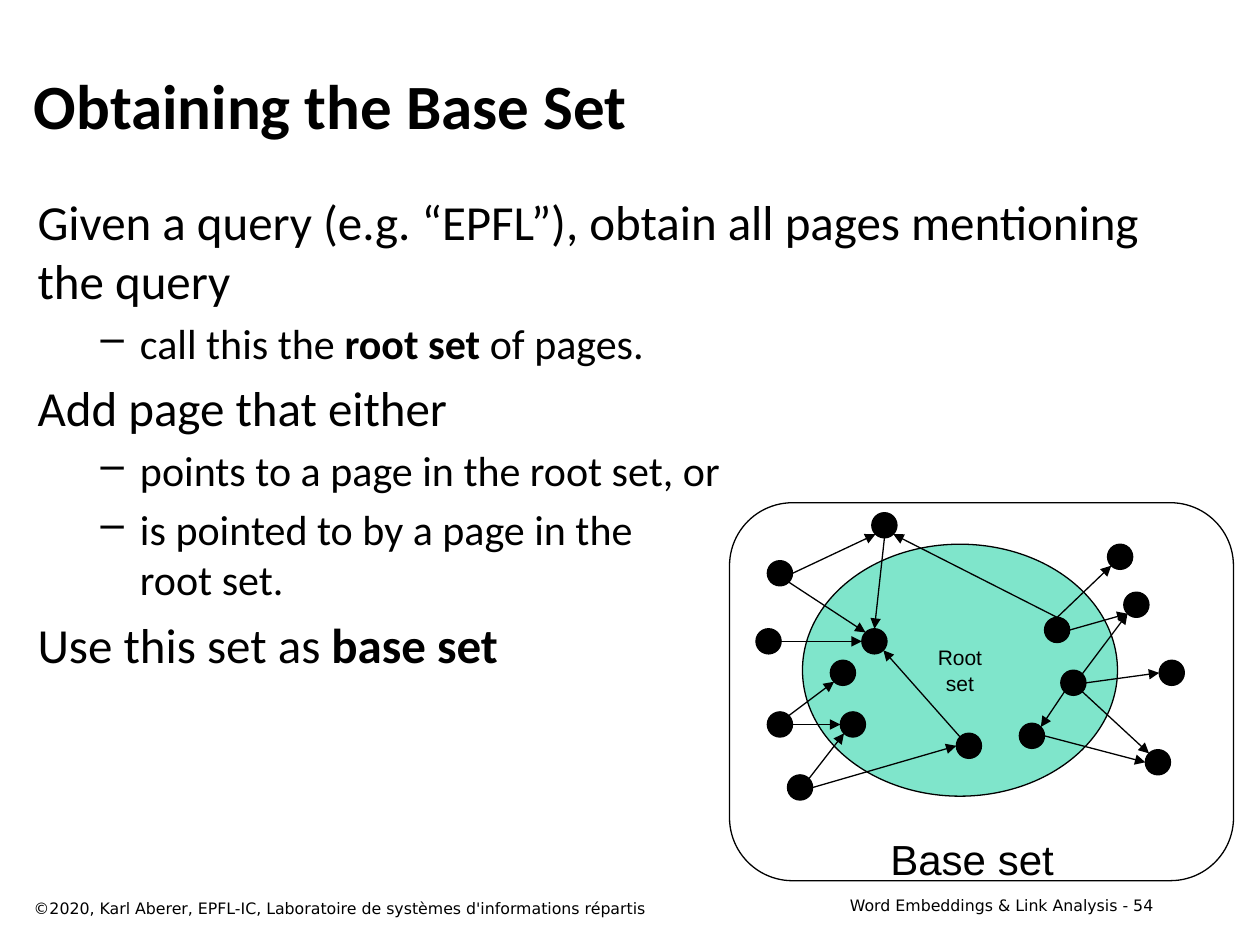
import math

from lxml import etree
from pptx import Presentation
from pptx.dml.color import RGBColor
from pptx.enum import shapes, text
from pptx.oxml.ns import qn
from pptx.util import Pt

COLORS = {"ink": "000000", "root": "00CC99"}
RADIUS = 7.2
COMPASS = ["E", "SE", "S", "SW", "W", "NW", "N", "NE"]

# Page centres; the "root" pages lie inside the ellipse
PAGES = {
    "top": (505.4, 300.2), "upper left": (445.7, 327.6),
    "left": (439.2, 366.5), "lower left": (445.7, 414),
    "bottom": (457.2, 450), "upper right": (640.1, 318.2),
    "mid right": (649.4, 345.6), "right": (669.6, 384.5),
    "lower right": (661.7, 435.6), "root hub": (499.7, 366.5),
    "root west": (481.7, 384.5), "root southwest": (487.4, 414),
    "root south": (553.7, 426.2), "root southeast": (589.7, 420.5),
    "root east": (613.4, 390.2), "root northeast": (604.1, 360),
}
# Source page, side it leaves from, target page, side it reaches
LINKS = [
    ("top", "S", "root hub", "N"),
    ("root northeast", "N", "top", "SE"),
    ("root northeast", "N", "upper right", "SW"),
    ("root northeast", "E", "mid right", "SW"),
    ("root east", "E", "right", "W"),
    ("root east", "SE", "lower right", "NW"),
    ("root east", "SW", "root southeast", "NE"),
    ("root southeast", "E", "lower right", "W"),
    ("root east", "NE", "mid right", "SW"),
    ("bottom", "E", "root south", "W"),
    ("bottom", "NE", "root southwest", "SW"),
    ("lower left", "E", "root southwest", "W"),
    ("lower left", "NE", "root west", "SW"),
    ("root south", "NW", "root hub", "SE"),
    ("left", "E", "root hub", "W"),
    ("upper left", "E", "top", "SW"),
    ("upper left", "SE", "root hub", "NW"),
]
# Level, then (text, bold) runs
BODY = [
    (0, [("Given a query (e.g. “EPFL”), obtain all pages mentioning the query", False)]),
    (1, [("call this the ", False), ("root set ", True), ("of pages.", False)]),
    (0, [("Add page that either", False)]),
    (1, [("points to a page in the root set, or", False)]),
    (1, [("is pointed to by a page in the\nroot set.", False)]),
    (0, [("Use this set as ", False), ("base set", True)]),
]


def rgb(name):
    return RGBColor.from_string(COLORS[name])


def pts(*values):
    return [Pt(v) for v in values]


def add_run(p, content, **fmt):
    """Add formatted text, with a line break at each newline."""
    for i, line in enumerate(content.split("\n")):
        if i:
            p.add_line_break()
        r = p.add_run()
        r.text = line
        for key, value in fmt.items():
            setattr(r.font, key, value)
        r.font.color.rgb = rgb("ink")


def add_text(s, box, content, align=text.PP_ALIGN.LEFT, wrap=True,
             anchor=text.MSO_ANCHOR.TOP, **fmt):
    tf = s.shapes.add_textbox(*pts(*box)).text_frame
    tf.word_wrap, tf.vertical_anchor = wrap, anchor
    p = tf.paragraphs[0]
    p.alignment = align
    add_run(p, content, **fmt)


def add_title(s, content):
    sp = s.shapes.title
    sp.left, sp.top, sp.width, sp.height = pts(12.2, 23.8, 653.8, 72)
    sp.text_frame.vertical_anchor = text.MSO_ANCHOR.MIDDLE
    p = sp.text_frame.paragraphs[0]
    p.alignment = text.PP_ALIGN.LEFT
    add_run(p, content, name="Calibri", size=Pt(36), bold=True)


def add_body(s):
    tf = s.shapes.add_textbox(*pts(14.4, 105.8, 653.8, 396)).text_frame
    tf.word_wrap = True
    for i, (level, runs) in enumerate(BODY):
        p = tf.add_paragraph() if i else tf.paragraphs[0]
        size = 24 if level else 28
        if level:
            p.level = level
            pPr = p._p.get_or_add_pPr()
            pPr.set("marL", str(Pt(58.5)))
            pPr.set("indent", str(Pt(-22.5)))
            etree.SubElement(pPr, qn("a:buChar")).set("char", "–")
        if i:
            p.space_before = Pt(0.2 * size)
        for content, bold in runs:
            add_run(p, content, name="Calibri", size=Pt(size), bold=bold)


def add_outlined(s, kind, box, fill=None):
    sp = s.shapes.add_shape(kind, *pts(*box))
    sp.shadow.inherit = False
    if fill:
        sp.fill.solid()
        sp.fill.fore_color.rgb = rgb(fill)
    else:
        sp.fill.background()
    sp.line.color.rgb = rgb("ink")
    sp.line.width = Pt(0.75)
    return sp


def add_root_set(s):
    sp = add_outlined(s, shapes.MSO_SHAPE.FLOWCHART_CONNECTOR,
                      (458.6, 311, 180, 144), "root")
    color = sp._element.spPr.find(qn("a:solidFill"))[0]
    etree.SubElement(color, qn("a:alpha")).set("val", "50000")
    tf = sp.text_frame
    tf.word_wrap, tf.vertical_anchor = False, text.MSO_ANCHOR.MIDDLE
    for i, word in enumerate(["Root", "set"]):
        p = tf.add_paragraph() if i else tf.paragraphs[0]
        p.alignment = text.PP_ALIGN.CENTER
        add_run(p, word, name="Arial", size=Pt(12))


def add_page(s, center):
    x, y = center
    add_outlined(s, shapes.MSO_SHAPE.OVAL,
                 (x - RADIUS, y - RADIUS, 2 * RADIUS, 2 * RADIUS), "ink")


def rim_point(page, side):
    """Point on a page's circle in a compass direction."""
    x, y = PAGES[page]
    angle = math.radians(45 * COMPASS.index(side))
    return x + RADIUS * math.cos(angle), y + RADIUS * math.sin(angle)


def add_link(s, source, source_side, target, target_side):
    ends = rim_point(source, source_side) + rim_point(target, target_side)
    cx = s.shapes.add_connector(shapes.MSO_CONNECTOR.STRAIGHT, *pts(*ends))
    cx.line.color.rgb = rgb("ink")
    cx.line.width = Pt(0.75)
    etree.SubElement(cx.line._get_or_add_ln(), qn("a:tailEnd")).set("type", "triangle")
    etree.SubElement(cx._element.spPr, qn("a:effectLst"))


def main():
    prs = Presentation()
    prs.slide_width, prs.slide_height = pts(720, 540)
    s = prs.slides.add_slide(prs.slide_layouts[5])
    footer = {"name": "DejaVu Sans", "size": Pt(9)}
    add_text(s, (456.5, 508.3, 209.5, 18), "Word Embeddings & Link Analysis - 54",
             align=text.PP_ALIGN.RIGHT, **footer)
    add_title(s, "Obtaining the Base Set")
    add_body(s)
    add_text(s, (12.2, 509.8, 462.2, 18),
             "©2020, Karl Aberer, EPFL-IC, Laboratoire de systèmes d'informations répartis",
             **footer)
    add_root_set(s)
    add_outlined(s, shapes.MSO_SHAPE.ROUNDED_RECTANGLE, (416.9, 287.3, 288, 216))
    for center in PAGES.values():
        add_page(s, center)
    for link in LINKS:
        add_link(s, *link)
    add_text(s, (501.1, 473, 108.7, 36), "Base set", align=text.PP_ALIGN.CENTER,
             wrap=False, anchor=text.MSO_ANCHOR.MIDDLE, name="Arial", size=Pt(24))
    prs.save("out.pptx")


if __name__ == "__main__":
    main()
